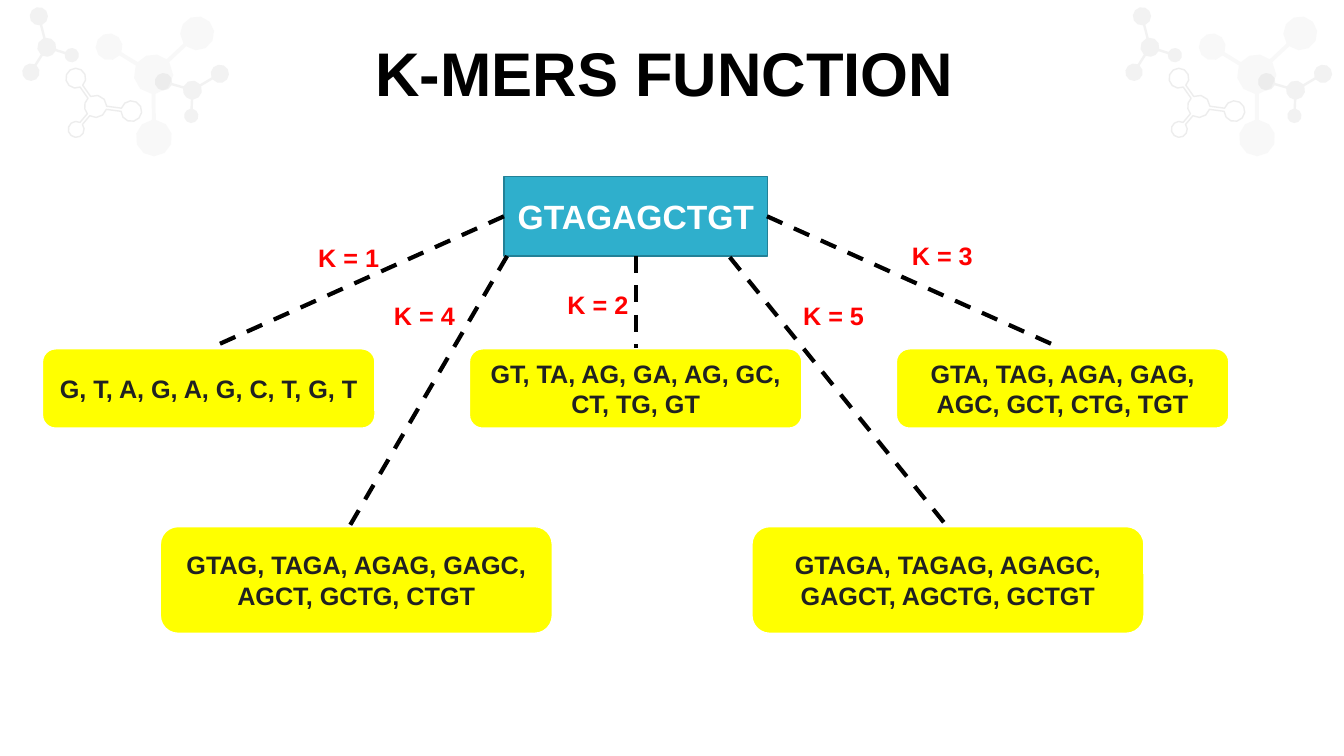
import math
from dataclasses import dataclass

from lxml import etree
from pptx import Presentation
from pptx import util as u
from pptx.dml.color import RGBColor
from pptx.enum import dml, shapes, text
from pptx.oxml.ns import qn

COLOURS = {
    "title": "000000", "edge": "000000", "label": "FF0000",
    "root": "2FAFCC", "root_line": "238197", "root_text": "FFFFFF",
    "kmers": "FFFF00", "kmers_line": "FFFFFF", "kmers_text": "202122",
    "molecule": "F2F2F2", "molecule_outline": "A6A6A6", "molecule_veil": "808080",
}
FONT = "Arial"
Point = tuple[float, float]
Box = tuple[float, float, float, float]


@dataclass
class Atom:
    x: float
    y: float
    radius: float


@dataclass
class Molecule:
    hub: Atom
    atoms: list[Atom]
    half_bond: float
    colour: str
    alpha: int = 100
    outlined: bool = False


@dataclass
class Branch:
    k: int
    kmers: str
    start: Point
    end: Point
    box: Box
    label: Point


MOLECULES = [
    Molecule(Atom(4.85, 2.27, 0.24),
             [Atom(5.54, 1.86, 0.23), Atom(4.82, 2.92, 0.18), Atom(4.12, 2.06, 0.22)],
             0.03, "molecule"),
    Molecule(Atom(2.41, 2.68, 0.28),
             [Atom(3.31, 2.8, 0.26), Atom(1.92, 3.26, 0.2), Atom(1.91, 1.97, 0.25)],
             0.04, "molecule_outline", 20, True),
    Molecule(Atom(3.87, 1.87, 0.5),
             [Atom(4.97, 0.84, 0.43), Atom(3.88, 3.48, 0.46), Atom(2.75, 1.18, 0.34)],
             0.05, "molecule_veil", 5),
    Molecule(Atom(1.18, 1.19, 0.24),
             [Atom(0.98, 0.41, 0.23), Atom(1.81, 1.39, 0.18), Atom(0.78, 1.82, 0.22)],
             0.03, "molecule"),
]
MOLECULE_OFFSETS = (27.8, 0)

ROOT_BOX = (12.7, 4.45, 6.65, 2)
UPPER_BOXES = [(1.07 + 10.76 * column, 8.79, 8.38, 2) for column in range(3)]
LOWER_BOXES = [(left, 13.27, 9.88, 2.69) for left in (4.04, 18.95)]
BRANCHES = [
    Branch(1, "G, T, A, G, A, G, C, T, G, T",
           (12.7, 5.45), (5.26, 8.79), UPPER_BOXES[0], (7.77, 5.99)),
    Branch(2, "GT, TA, AG, GA, AG, GC, CT, TG, GT",
           (16.03, 6.45), (16.03, 8.79), UPPER_BOXES[1], (14.05, 7.16)),
    Branch(3, "GTA, TAG, AGA, GAG, AGC, GCT, CTG, TGT",
           (19.33, 5.45), (26.77, 8.79), UPPER_BOXES[2], (22.73, 5.94)),
    Branch(4, "GTAG, TAGA, AGAG, GAGC, AGCT, GCTG, CTGT",
           (12.78, 6.45), (8.51, 13.77), LOWER_BOXES[0], (9.68, 7.44)),
    Branch(5, "GTAGA, TAGAG, AGAGC, GAGCT, AGCTG, GCTGT",
           (18.39, 6.48), (23.88, 13.28), LOWER_BOXES[1], (19.99, 7.44)),
]


def rgb(name: str) -> RGBColor:
    return RGBColor.from_string(COLOURS[name])


def arc(circle: Atom, start: float, end: float, steps: int) -> list[Point]:
    angles = [start + (end - start) * step / steps for step in range(steps + 1)]
    return [(circle.x + circle.radius * math.cos(angle),
             circle.y + circle.radius * math.sin(angle)) for angle in angles]


def molecule_outline(molecule: Molecule) -> list[Point]:
    """Walk once around the hub, going out along each bond and around its atom."""
    hub = molecule.hub
    spokes = sorted(((math.atan2(atom.y - hub.y, atom.x - hub.x), atom)
                     for atom in molecule.atoms), key=lambda spoke: spoke[0])
    next_angles = [angle for angle, _ in spokes[1:]] + [spokes[0][0] + math.tau]
    hub_gap = math.asin(molecule.half_bond / hub.radius)
    points = []
    for (angle, atom), next_angle in zip(spokes, next_angles):
        gap = math.asin(molecule.half_bond / atom.radius)
        points += arc(atom, angle + math.pi + gap, angle + 3 * math.pi - gap, 10)
        points += arc(hub, angle + hub_gap, next_angle - hub_gap, 3)
    return points


def draw_molecule(slide, molecule: Molecule, offset: float) -> None:
    points = [(u.Cm(x + offset), u.Cm(y)) for x, y in molecule_outline(molecule)]
    builder = slide.shapes.build_freeform(*points[0])
    builder.add_line_segments(points[1:], close=True)
    shape = builder.convert_to_shape()
    shape.shadow.inherit = False
    if molecule.outlined:
        shape.fill.background()
        shape.line.width = u.Pt(1)
        paint = shape.line.fill
    else:
        shape.line.fill.background()
        paint = shape.fill
    paint.solid()
    paint.fore_color.rgb = rgb(molecule.colour)
    if molecule.alpha < 100:
        properties = shape._element.spPr
        holder = properties.find(qn("a:ln")) if molecule.outlined else properties
        colour = holder.find(qn("a:solidFill")).find(qn("a:srgbClr"))
        etree.SubElement(colour, qn("a:alpha"), val=str(molecule.alpha * 1000))


def add_text(shape, wording: str, size: float, colour: str,
             alignment=text.PP_ALIGN.CENTER, anchor=text.MSO_ANCHOR.MIDDLE):
    """Put one bold run into the shape and return its paragraph."""
    frame = shape.text_frame
    frame.word_wrap = True
    frame.auto_size = text.MSO_AUTO_SIZE.NONE
    frame.vertical_anchor = anchor
    paragraph = frame.paragraphs[0]
    paragraph.alignment = alignment
    run = paragraph.add_run()
    run.text = wording
    run.font.name = FONT
    run.font.size = u.Pt(size)
    run.font.bold = True
    run.font.color.rgb = rgb(colour)
    return paragraph


def draw_box(slide, kind, box: Box, wording: str, size: float, style: str) -> None:
    shape = slide.shapes.add_shape(kind, *map(u.Cm, box))
    shape.shadow.inherit = False
    shape.fill.solid()
    shape.fill.fore_color.rgb = rgb(style)
    shape.line.color.rgb = rgb(f"{style}_line")
    shape.line.width = u.Pt(1)
    add_text(shape, wording, size, f"{style}_text")


def draw_edge(slide, start: Point, end: Point) -> None:
    edge = slide.shapes.add_connector(shapes.MSO_CONNECTOR.STRAIGHT,
                                      *map(u.Cm, start + end))
    edge.line.color.rgb = rgb("edge")
    edge.line.width = u.Pt(3)
    edge.line.dash_style = dml.MSO_LINE.DASH
    etree.SubElement(edge._element.spPr, qn("a:effectLst"))


def draw_branch(slide, branch: Branch) -> None:
    draw_edge(slide, branch.start, branch.end)
    draw_box(slide, shapes.MSO_SHAPE.ROUNDED_RECTANGLE, branch.box,
             branch.kmers, 18, "kmers")
    label = slide.shapes.add_textbox(*map(u.Cm, branch.label + (2.26, 1.02)))
    add_text(label, f"K = {branch.k}", 18, "label",
             text.PP_ALIGN.LEFT, text.MSO_ANCHOR.TOP)


def main() -> None:
    presentation = Presentation()
    presentation.slide_width, presentation.slide_height = u.Cm(33.87), u.Cm(19.05)
    slide = presentation.slides.add_slide(presentation.slide_layouts[5])
    for offset in MOLECULE_OFFSETS:
        for molecule in MOLECULES:
            draw_molecule(slide, molecule, offset)
    title = slide.shapes.title
    title.left, title.top, title.width, title.height = map(u.Cm, (0.89, 0.94, 32.16, 2))
    add_text(title, "K-MERS FUNCTION ", 44, "title").line_spacing = 0.9
    draw_box(slide, shapes.MSO_SHAPE.RECTANGLE, ROOT_BOX, "GTAGAGCTGT", 24, "root")
    for branch in BRANCHES:
        draw_branch(slide, branch)
    presentation.save("out.pptx")


if __name__ == "__main__":
    main()
